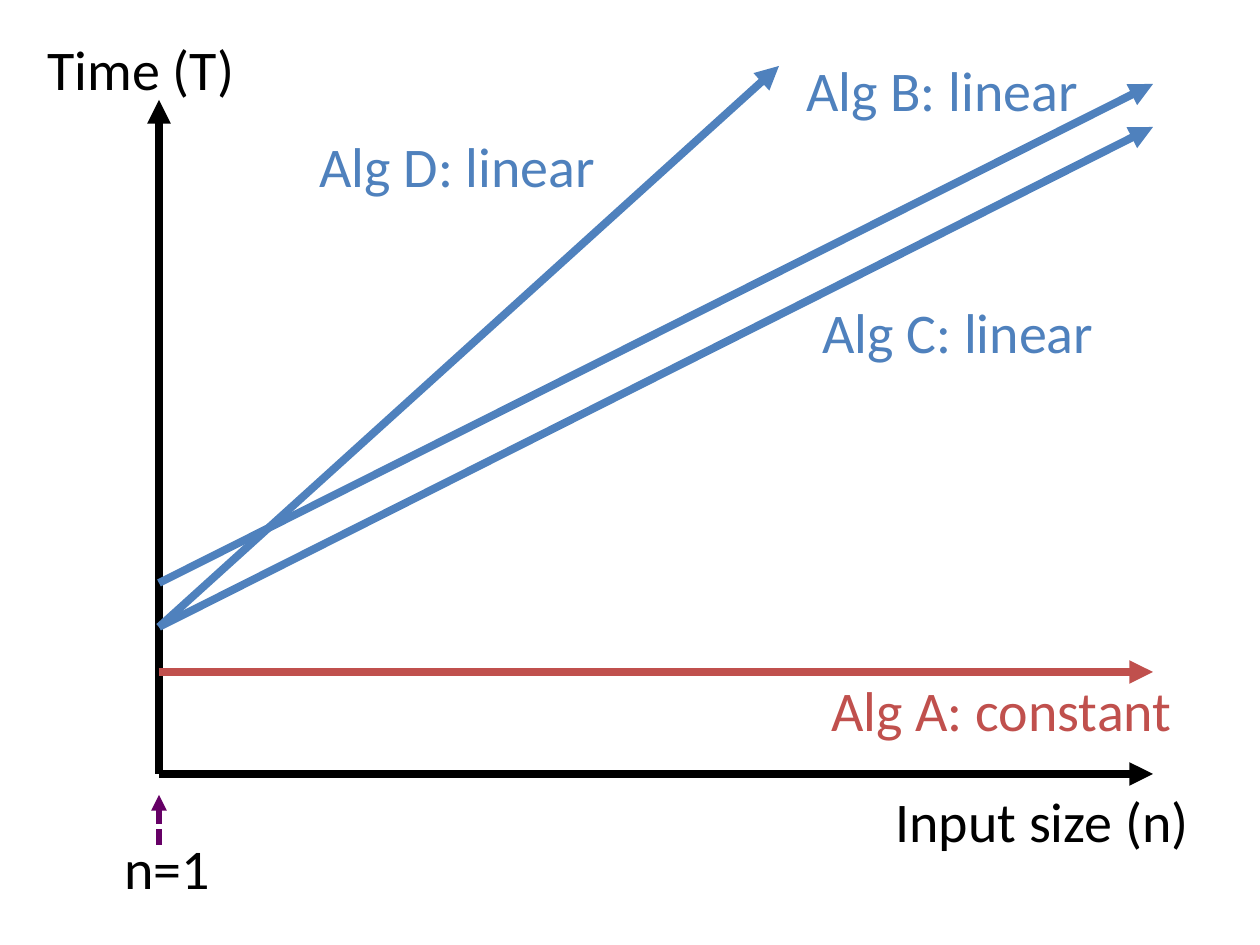
"""Draw running time against input size for four algorithms."""
from dataclasses import dataclass

from lxml import etree
from pptx import Presentation
from pptx import util as u
from pptx.dml.color import RGBColor
from pptx.enum import dml, shapes, text
from pptx.oxml.ns import qn

PX = 914400 // 126
ORIGIN_X, ORIGIN_Y, END_X = 159, 774, 1153


@dataclass(frozen=True)
class Theme:
    """Colours, font and sizes of the slide."""
    axis: RGBColor = RGBColor(0x00, 0x00, 0x00)
    constant: RGBColor = RGBColor(0xC0, 0x50, 0x4D)
    linear: RGBColor = RGBColor(0x4F, 0x81, 0xBD)
    marker: RGBColor = RGBColor(0x66, 0x00, 0x66)
    font: str = "Calibri"
    label_size: float = 32
    line_width: float = 4.5
    marker_width: float = 3


THEME = Theme()


def px(length):
    """Turn pixels into EMU."""
    return u.Emu(length * PX)


def add_arrow(page, start, tip, color, width=THEME.line_width, dash=None):
    """Add a straight line with a triangle at its tip."""
    arrow = page.shapes.add_connector(
        shapes.MSO_CONNECTOR.STRAIGHT, *map(px, start + tip))
    arrow.line.color.rgb = color
    arrow.line.width = u.Pt(width)
    if dash is not None:
        arrow.line.dash_style = dash
    properties = arrow.element.spPr
    line = properties.find(qn("a:ln"))
    etree.SubElement(line, qn("a:tailEnd"), type="triangle")
    etree.SubElement(properties, qn("a:effectLst"))


def add_label(page, wording, left, top, width, color):
    """Add a one-line label."""
    box = page.shapes.add_textbox(px(left), px(top), px(width), px(81))
    frame = box.text_frame
    frame.word_wrap = True
    frame.auto_size = text.MSO_AUTO_SIZE.SHAPE_TO_FIT_TEXT
    para = frame.paragraphs[0]
    para.text = wording
    para.font.name = THEME.font
    para.font.size = u.Pt(THEME.label_size)
    para.font.color.rgb = color


def add_axes(page):
    """Add both axes, their names and the marker at n=1."""
    origin = (ORIGIN_X, ORIGIN_Y)
    add_arrow(page, origin, (ORIGIN_X, 100), THEME.axis)
    add_arrow(page, origin, (END_X, ORIGIN_Y), THEME.axis)
    add_label(page, "Time (T)", 35, 28, 223, THEME.axis)
    add_label(page, "Input size (n)", 883, 780, 350, THEME.axis)
    add_label(page, "n=1", 112, 827, 126, THEME.axis)
    add_arrow(page, (ORIGIN_X, 845), (ORIGIN_X, 795), THEME.marker,
              THEME.marker_width, dml.MSO_LINE.SQUARE_DOT)


def add_algorithms(page):
    """Add the growth line and label of each algorithm."""
    algorithms = [
        ("Alg A: constant", 672, (END_X, 672), (819, 669, 394), THEME.constant),
        ("Alg B: linear", 583, (END_X, 84), (794, 49, 466), THEME.linear),
        ("Alg D: linear", 627, (779, 66), (307, 125, 323), THEME.linear),
        ("Alg C: linear", 627, (END_X, 127), (810, 291, 450), THEME.linear),
    ]
    for wording, start_y, tip, place, color in algorithms:
        add_arrow(page, (ORIGIN_X, start_y), tip, color)
        add_label(page, wording, *place, color)


def main():
    """Build and save the deck."""
    deck = Presentation()
    deck.slide_width, deck.slide_height = px(1260), px(945)
    page = deck.slides.add_slide(deck.slide_layouts[6])
    add_axes(page)
    add_algorithms(page)
    deck.save("out.pptx")


if __name__ == "__main__":
    main()
